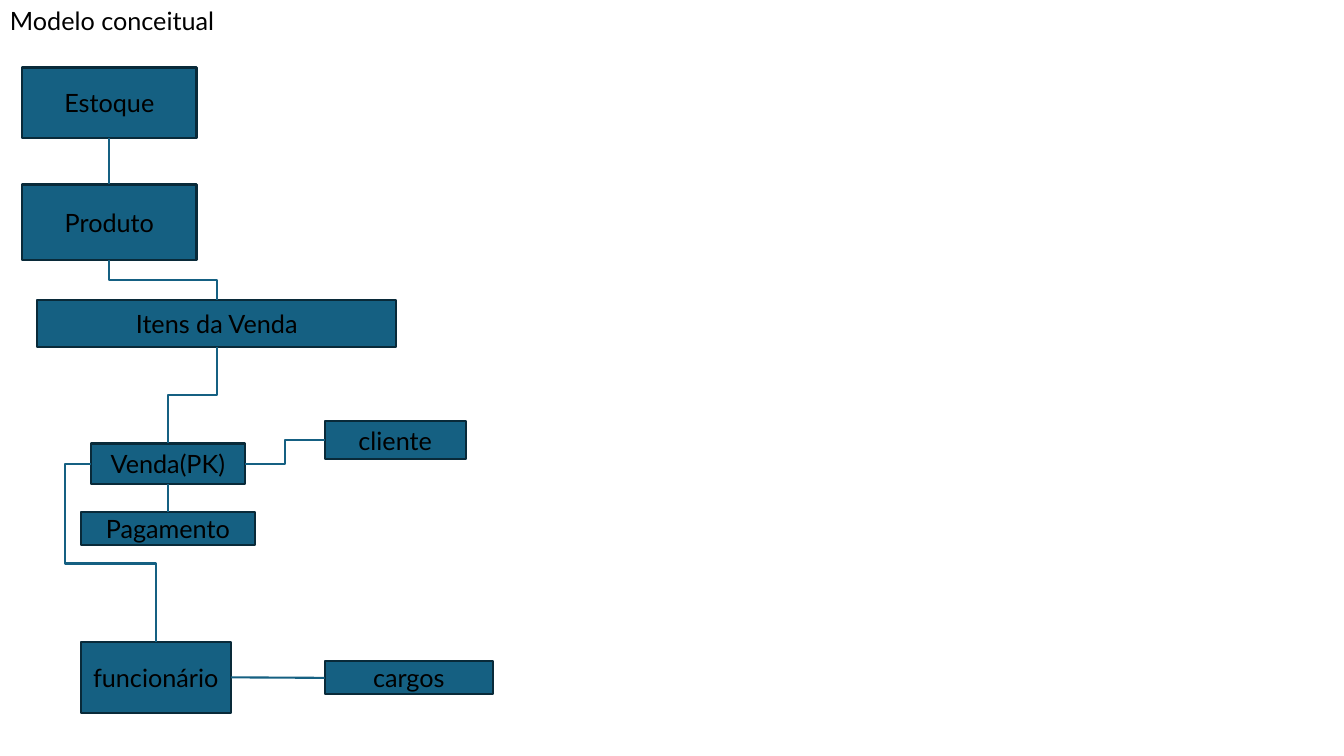
from lxml import etree
from pptx import Presentation
from pptx.dml.color import RGBColor
from pptx.enum.shapes import MSO_CONNECTOR, MSO_SHAPE
from pptx.enum.text import MSO_ANCHOR, MSO_AUTO_SIZE, PP_ALIGN
from pptx.oxml.ns import qn
from pptx.util import Inches, Pt

RECTANGLE = MSO_SHAPE.RECTANGLE
STRAIGHT, ELBOW = MSO_CONNECTOR.STRAIGHT, MSO_CONNECTOR.ELBOW
MIDDLE, CENTER = MSO_ANCHOR.MIDDLE, PP_ALIGN.CENTER
FIT_SHAPE = MSO_AUTO_SIZE.SHAPE_TO_FIT_TEXT

COLORS = {"entity": "156082", "border": "092A39", "text": "000000"}
FONT = {"name": "Lato", "size": Pt(18)}
LINE_WIDTH = Pt(1.5)

# Connection sites of a rectangle
TOP, LEFT, BOTTOM, RIGHT = range(4)

# Entity: left, top, width, height
ENTITIES = {
    "Produto": (0.22, 1.83, 1.73, 0.75),
    "Venda(PK)": (0.9, 4.4, 1.53, 0.4),
    "Estoque": (0.22, 0.67, 1.73, 0.7),
    "Pagamento": (0.8, 5.08, 1.73, 0.33),
    "Itens da Venda": (0.37, 2.98, 3.56, 0.46),
    "funcionário": (0.8, 6.37, 1.49, 0.7),
    "cargos": (3.22, 6.56, 1.67, 0.33),
    "cliente": (3.22, 4.18, 1.4, 0.37),
}

# Relation: kind, first entity and site, second entity and site
RELATIONS = [
    (STRAIGHT, "cargos", LEFT, "funcionário", RIGHT),
    (ELBOW, "Estoque", BOTTOM, "Produto", TOP),
    (ELBOW, "Venda(PK)", RIGHT, "cliente", LEFT),
    (STRAIGHT, "Pagamento", TOP, "Venda(PK)", BOTTOM),
    (ELBOW, "Produto", BOTTOM, "Itens da Venda", TOP),
    (ELBOW, "Itens da Venda", BOTTOM, "Venda(PK)", TOP),
]


def color(key):
    return RGBColor.from_string(COLORS[key])


def write_text(frame, text):
    frame.word_wrap = True
    run = frame.paragraphs[0].add_run()
    run.text = text
    for attribute, value in FONT.items():
        setattr(run.font, attribute, value)
    run.font.color.rgb = color("text")


def set_line(line, key):
    line.color.rgb = color(key)
    line.width = LINE_WIDTH


def add_title(slide, text):
    title = slide.shapes.add_textbox(0, 0, Inches(3.46), Inches(0.4))
    write_text(title.text_frame, text)
    title.text_frame.auto_size = FIT_SHAPE


def add_entity(slide, label, bounds):
    entity = slide.shapes.add_shape(RECTANGLE, *map(Inches, bounds))
    entity.shadow.inherit = False
    entity.fill.solid()
    entity.fill.fore_color.rgb = color("entity")
    set_line(entity.line, "border")
    write_text(entity.text_frame, label)
    entity.text_frame.vertical_anchor = MIDDLE
    entity.text_frame.paragraphs[0].alignment = CENTER
    return entity


def add_relation(slide, kind, first, first_site, second, second_site):
    relation = slide.shapes.add_connector(kind, 0, 0, 0, 0)
    relation.begin_connect(first, first_site)
    relation.end_connect(second, second_site)
    set_line(relation.line, "entity")
    etree.SubElement(relation._element.spPr, qn("a:effectLst"))
    if kind == ELBOW and first_site == BOTTOM:
        turn_downward(relation)
    return relation


def set_transform(relation, degrees, *flips):
    transform = relation._element.spPr.find(qn("a:xfrm"))
    for flip in ("flipH", "flipV"):
        transform.attrib.pop(flip, None)
    transform.set("rot", str(degrees * 60000))
    for flip in flips:
        transform.set(flip, "1")


def turn_downward(relation):
    """Rotate an elbow so that it leaves and arrives vertically."""
    run = relation.end_x - relation.begin_x
    drop = relation.end_y - relation.begin_y
    center_x = (relation.begin_x + relation.end_x) // 2
    center_y = (relation.begin_y + relation.end_y) // 2
    if run > 0:
        set_transform(relation, 270, "flipH")
    else:
        set_transform(relation, 90)
    relation.width, relation.height = drop, abs(run)
    relation.left = center_x - drop // 2
    relation.top = center_y - abs(run) // 2


def route_around(relation, *bends):
    """Give an elbow a third bend, at fractions of its width and height."""
    set_transform(relation, 180, "flipH", "flipV")
    geometry = relation._element.spPr.find(qn("a:prstGeom"))
    geometry.set("prst", "bentConnector4")
    guides = geometry.find(qn("a:avLst"))
    for number, bend in enumerate(bends, 1):
        etree.SubElement(guides, qn("a:gd"), name=f"adj{number}",
                         fmla=f"val {round(bend * 100000)}")


def main():
    presentation = Presentation()
    presentation.slide_width = Inches(13.33)
    presentation.slide_height = Inches(7.5)
    slide = presentation.slides.add_slide(presentation.slide_layouts[6])

    # Title and entities
    add_title(slide, "Modelo conceitual")
    entities = {label: add_entity(slide, label, bounds)
                for label, bounds in ENTITIES.items()}

    # Relations between entities
    for kind, first, first_site, second, second_site in RELATIONS:
        add_relation(slide, kind, entities[first], first_site,
                     entities[second], second_site)

    # Sale to employee, passing left of the payment
    sale_to_employee = add_relation(slide, ELBOW, entities["Venda(PK)"], LEFT,
                                    entities["funcionário"], TOP)
    route_around(sale_to_employee, -0.39, 0.56)

    presentation.save("out.pptx")


if __name__ == "__main__":
    main()
